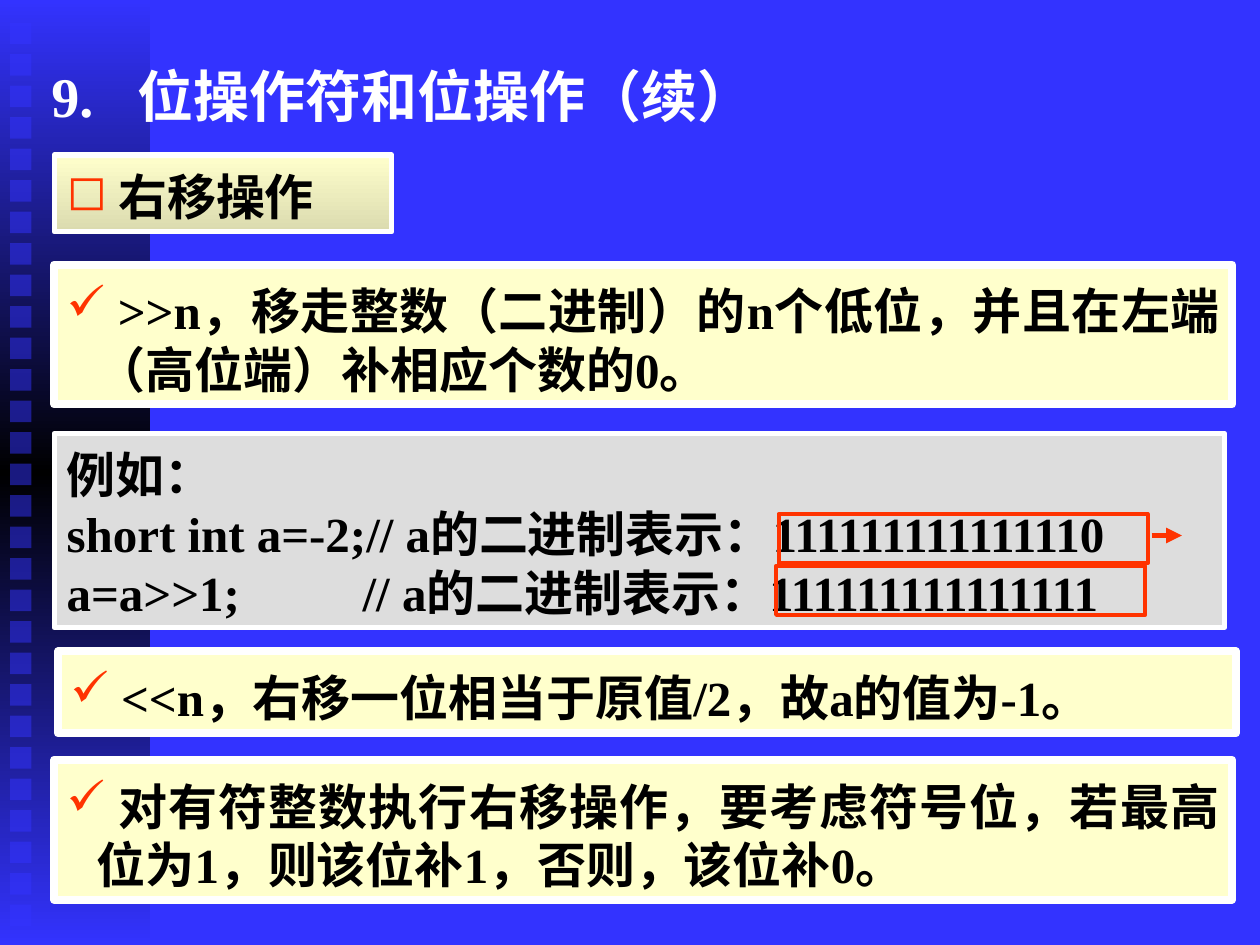
import pptx
import pptx.util
import pptx.dml.color
import pptx.enum.shapes
import pptx.enum.text
import pptx.oxml
import pptx.oxml.ns

COLUMNS, ROWS = 100, 75
CELL = pptx.util.Inches(0.1)
BLUE, BLACK, WHITE, RED = "3333FF", "000000", "FFFFFF", "FF3300"
CREAM, GRAY = "FFFFCC", "DDDDDD"
JUSTIFY = pptx.enum.text.PP_ALIGN.JUSTIFY
LEFT = pptx.enum.text.PP_ALIGN.LEFT
HANGING = 2.4


def cells(*values):
    return [round(value * CELL) for value in values]


def color(value):
    return pptx.dml.color.RGBColor.from_string(value)


def apply(target, formats):
    for name, value in formats.items():
        setattr(target, name, value)


def add_xml(parent, tag, **attributes):
    element = pptx.oxml.parse_xml(f"<{tag} {pptx.oxml.ns.nsdecls('a')}/>")
    for name, value in attributes.items():
        element.set(name, str(value))
    parent.append(element)
    return element


def fill_gradient(shape, colors):
    shape.fill.gradient()
    shape.fill.gradient_angle = 270
    stops = shape.element.spPr.find(".//" + pptx.oxml.ns.qn("a:gsLst"))
    for stop in list(stops):
        stops.remove(stop)
    for index, value in enumerate(colors):
        stop = add_xml(stops, "a:gs", pos=100000 * index // (len(colors) - 1))
        add_xml(stop, "a:srgbClr", val=value)


def add_rectangle(slide, place, fill=None, line=None, width=0):
    shape = slide.shapes.add_shape(
        pptx.enum.shapes.MSO_SHAPE.RECTANGLE, *cells(*place))
    shape.shadow.inherit = False
    if isinstance(fill, list):
        fill_gradient(shape, fill)
    elif fill:
        shape.fill.solid()
        shape.fill.fore_color.rgb = color(fill)
    else:
        shape.fill.background()
    if line:
        shape.line.color.rgb = color(line)
        shape.line.width = pptx.util.Pt(width)
    else:
        shape.line.fill.background()
    return shape


def add_side_band(slide):
    add_rectangle(slide, (0, 0, 11.9, ROWS), [BLUE, BLACK, BLUE])
    for index in range(29):
        square = add_rectangle(slide, (0.8, 1.8 + 2.5 * index, 1.7, 1.7), BLUE)
        solid = square.element.spPr.find(".//" + pptx.oxml.ns.qn("a:srgbClr"))
        add_xml(solid, "a:alpha", val=50000)


def write_text(shape, lines, size, ink, top=0.5, bullet=None, tab=None):
    frame = shape.text_frame
    left, upper, lower = cells(1, top, 0.5)
    apply(frame, {
        "word_wrap": True,
        "vertical_anchor": pptx.enum.text.MSO_ANCHOR.TOP,
        "margin_left": left,
        "margin_right": left,
        "margin_top": upper,
        "margin_bottom": lower,
    })
    for index, (text, alignment) in enumerate(lines):
        paragraph = frame.add_paragraph() if index else frame.paragraphs[0]
        paragraph.alignment = alignment
        properties = paragraph._p.get_or_add_pPr()
        if bullet:
            indent = cells(HANGING)[0]
            properties.set("marL", str(indent))
            properties.set("indent", str(-indent))
            add_xml(add_xml(properties, "a:buClr"), "a:srgbClr", val=RED)
            add_xml(properties, "a:buChar", char=bullet)
        if tab:
            stops = add_xml(properties, "a:tabLst")
            add_xml(stops, "a:tab", pos=cells(tab)[0], algn="l")
        run = paragraph.add_run()
        run.text = text
        apply(run.font, {"name": "Times New Roman", "bold": True,
                         "size": pptx.util.Pt(size)})
        run.font.color.rgb = color(ink)


def add_title(slide, text):
    box = slide.shapes.add_textbox(*cells(3.1, 4.4, 94.2, 5.8))
    write_text(box, [(text, JUSTIFY)], 32, WHITE, tab=6.8)


def add_panel(slide, place, fill, lines, width=3, **formats):
    panel = add_rectangle(slide, place, fill, WHITE, width)
    write_text(panel, lines, 28, BLACK, **formats)


def add_note(slide, place, text):
    add_panel(slide, place, CREAM, [(text, JUSTIFY)], 4.5, top=1.3, bullet="✓")


def add_arrow(slide, start, end):
    arrow = slide.shapes.add_connector(
        pptx.enum.shapes.MSO_CONNECTOR.STRAIGHT, *cells(*start, *end))
    arrow.line.color.rgb = color(RED)
    arrow.line.width = pptx.util.Pt(3)
    add_xml(arrow.line._get_or_add_ln(), "a:tailEnd", type="triangle")
    add_xml(arrow.element.spPr, "a:effectLst")


def main():
    presentation = pptx.Presentation()
    apply(presentation, {"slide_width": COLUMNS * CELL,
                         "slide_height": ROWS * CELL})
    slide = presentation.slides.add_slide(presentation.slide_layouts[6])
    slide.background.fill.solid()
    slide.background.fill.fore_color.rgb = color(BLUE)

    add_side_band(slide)
    add_title(slide, "9.\t位操作符和位操作（续）")
    add_panel(slide, (4.3, 12.3, 26.8, 6.1), [CREAM, "DBDBAF"],
              [(" 右移操作", LEFT)], top=0.9, bullet="◻")
    add_note(slide, (4.3, 21, 93.5, 11.1),
             " >>n，移走整数（二进制）的n个低位，并且在左端（高位端）补相应个数的0。")
    add_panel(slide, (4.3, 34.4, 92.9, 15.4), GRAY, [
        ("例如：", JUSTIFY),
        ("short int a=-2;// a的二进制表示：111111111111110", LEFT),
        ("a=a>>1;\t// a的二进制表示：111111111111111", JUSTIFY),
    ], top=0.9, tab=23.5)
    add_note(slide, (4.6, 51.7, 93.5, 6.5),
             " <<n，右移一位相当于原值/2，故a的值为-1。")
    add_note(slide, (4.3, 60.3, 93.5, 11.1),
             " 对有符整数执行右移操作，要考虑符号位，若最高位为1，则该位补1，否则，该位补0。")

    for left, top in ((61.8, 40.8), (61.6, 44.9)):
        add_rectangle(slide, (left, top, 29.3, 3.9), line=RED, width=2.25)
    add_arrow(slide, (91.4, 42.5), (93.8, 42.5))
    presentation.save("out.pptx")


if __name__ == "__main__":
    main()
